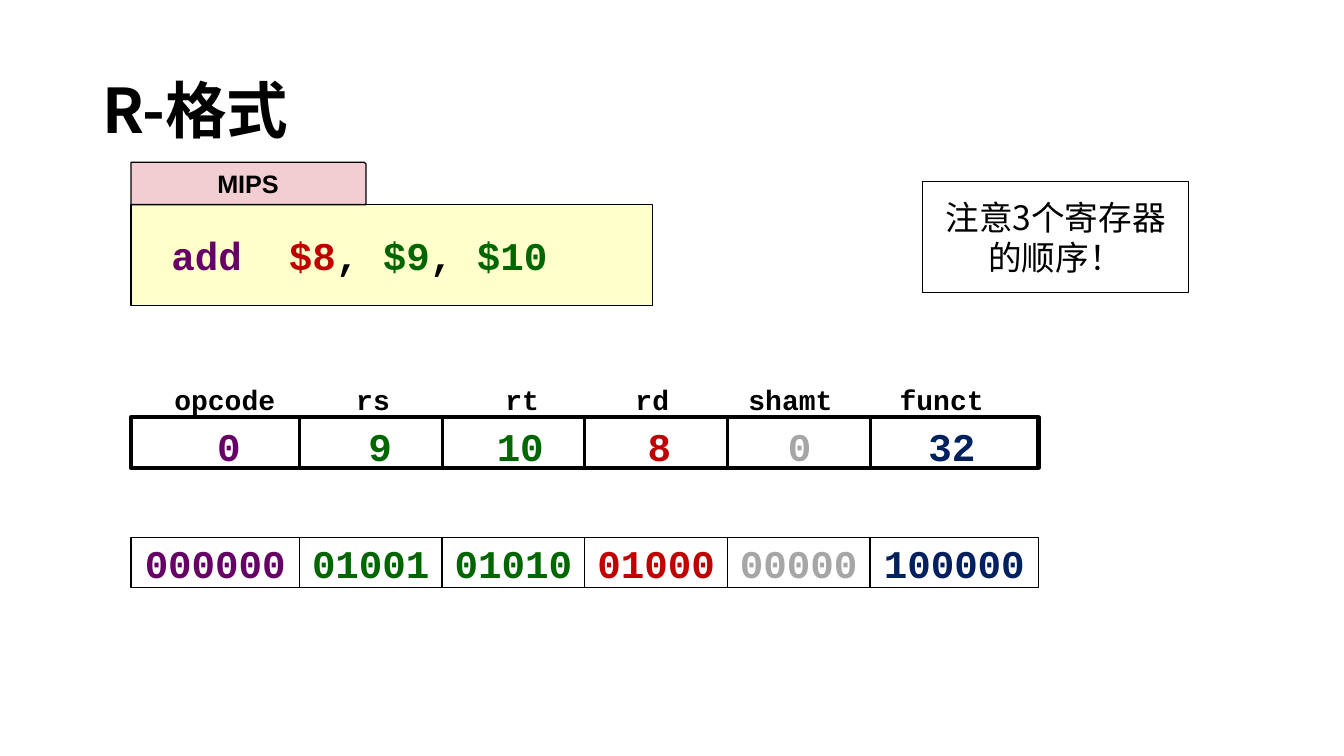
from pptx import Presentation
from pptx.dml.color import RGBColor
from pptx.enum.shapes import MSO_CONNECTOR, MSO_SHAPE
from pptx.enum.text import MSO_ANCHOR, PP_ALIGN
from pptx.oxml.ns import qn
from pptx.util import Inches, Pt
from lxml import etree

MONO, HAN = "Courier New", "Noto Sans CJK SC"
BLACK, WHITE = "000000", "FFFFFF"
PURPLE, GREEN, RED = "660066", "006600", "C00000"
GRAY, NAVY = "A6A6A6", "002060"


def color(code):
    return RGBColor.from_string(code)


def put(at, runs, size, font, bold=True, kind=None, fill=None, line=1,
        align=PP_ALIGN.CENTER, anchor=MSO_ANCHOR.MIDDLE, wrap=True):
    """Place a text box, or a shape if kind is given, with colored runs."""
    at = [Inches(n) for n in at]
    if kind is None:
        box = deck.add_textbox(*at)
    else:
        box = deck.add_shape(kind, *at)
        box.shadow.inherit = False
        box.line.color.rgb = color(BLACK)
        box.line.width = Pt(line)
        if fill:
            box.fill.solid()
            box.fill.fore_color.rgb = color(fill)
        else:
            box.fill.background()
    frame = box.text_frame
    frame.word_wrap = wrap
    frame.vertical_anchor = anchor
    para = frame.paragraphs[0]
    para.alignment = align
    for text, tint in runs:
        run = para.add_run()
        run.text = text
        run.font.size = Pt(size)
        run.font.bold = bold
        run.font.name = font
        run.font.color.rgb = color(tint)
        if font == HAN:
            etree.SubElement(run.font._element, qn("a:ea")).set("typeface", font)
    return box


show = Presentation()
show.slide_width, show.slide_height = Inches(13.33), Inches(7.5)
deck = show.slides.add_slide(show.slide_layouts[6]).shapes

# Title
title = put((0.92, 0.4, 11.5, 1.45), [("R-格式", BLACK)], 44, HAN,
            align=PP_ALIGN.LEFT)
title.text_frame.paragraphs[0].line_spacing = 0.9

# Assembly code and its tab
code = [("add  ", PURPLE), ("$8", RED), (", ", BLACK), ("$9", GREEN),
        (", ", BLACK), ("$10", GREEN)]
panel = put((1.3, 2.03, 5.17, 1), code, 28, MONO, kind=MSO_SHAPE.RECTANGLE,
            fill="FFFFCC", align=PP_ALIGN.LEFT, wrap=False)
panel.text_frame.margin_left = Inches(0.4)
tab = put((1.3, 1.61, 2.33, 0.42), [("MIPS", BLACK)], 18, "Arial",
          kind=MSO_SHAPE.SNIP_1_RECTANGLE, fill="F2CED2")
tab.adjustments[0] = 0.04

# Instruction fields: name, its center, value, its center, bits, color
fields = [
    ("opcode", 2.23, "0", 2.27, "000000", PURPLE),
    ("rs", 3.7, "9", 3.77, "01001", GREEN),
    ("rt", 5.18, "10", 5.16, "01010", GREEN),
    ("rd", 6.47, "8", 6.54, "01000", RED),
    ("shamt", 7.84, "0", 7.93, "00000", GRAY),
    ("funct", 9.34, "32", 9.44, "100000", NAVY),
]
put((1.3, 4.14, 9, 0.5), [], 28, MONO, kind=MSO_SHAPE.RECTANGLE, line=3)

left = 1.3
for name, mid, value, spot, bits, tint in fields:
    wide = 1.67 if len(bits) == 6 else 1.415
    put((mid - 0.6, 3.75, 1.2, 0.43), [(name, BLACK)], 20, MONO,
        anchor=MSO_ANCHOR.TOP, wrap=False)
    put((spot - 0.34, 4.14, 0.68, 0.57), [(value, tint)], 28, MONO,
        anchor=MSO_ANCHOR.TOP, wrap=False)
    put((left, 5.33, wide, 0.5), [(bits, tint)], 28, MONO,
        kind=MSO_SHAPE.RECTANGLE, fill=WHITE)
    # Divider before every field but the first
    if left > 1.3:
        x = Inches(left)
        bar = deck.add_connector(MSO_CONNECTOR.STRAIGHT, x, Inches(4.14),
                                 x, Inches(4.64))
        bar.line.color.rgb = color(BLACK)
        bar.line.width = Pt(2.25)
        etree.SubElement(bar._element.spPr, qn("a:effectLst"))
    left += wide

# Note on register order
put((9.15, 1.8, 2.64, 1.1), [("注意3个寄存器的顺序！", BLACK)], 24, HAN,
    bold=False, kind=MSO_SHAPE.RECTANGLE, fill=WHITE)

show.save("out.pptx")
